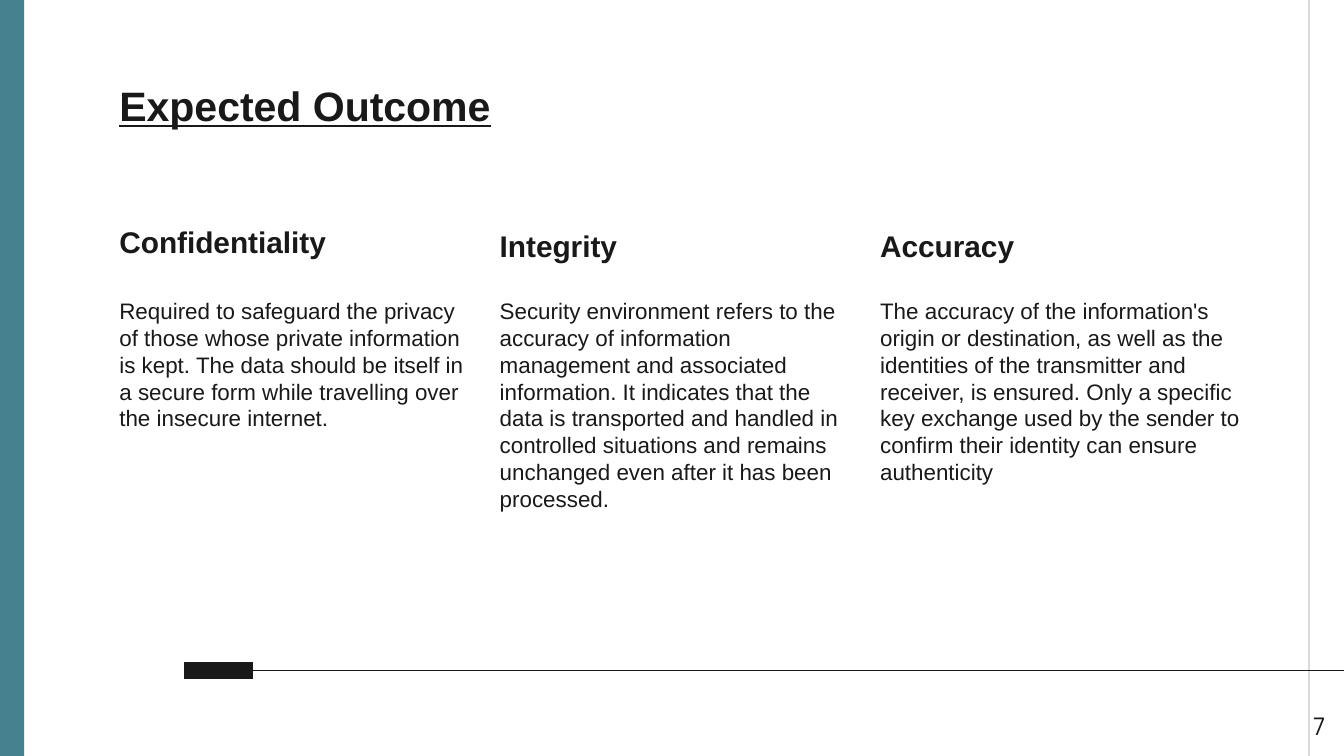
from dataclasses import dataclass

from lxml.etree import SubElement
from pptx import Presentation
from pptx.dml.color import RGBColor
from pptx.enum.shapes import MSO_CONNECTOR, MSO_SHAPE
from pptx.enum.text import MSO_ANCHOR, PP_ALIGN
from pptx.oxml.ns import qn
from pptx.slide import Slide
from pptx.util import Inches, Pt

INK = "191919"
TEAL = "45818E"
GREY = "D9D9D9"

PAGE_WIDTH = 10
PAGE_HEIGHT = PAGE_WIDTH * 9 / 16
COLUMN_LEFT = 0.79
COLUMN_STEP = 2.83
COLUMN_WIDTH = 2.77
HEADING_TOP = 1.59
BODY_TOP = 2.11
RULE_Y = 4.99


@dataclass
class Label:
    text: str
    left: float
    top: float
    width: float
    height: float
    size: float
    font: str = "Arial"
    bold: bool = False
    underline: bool = False
    anchor: MSO_ANCHOR = MSO_ANCHOR.TOP
    align: PP_ALIGN = PP_ALIGN.LEFT


@dataclass
class Rule:
    start: tuple[float, float]
    end: tuple[float, float]
    color: str
    weight: float


@dataclass
class Outcome:
    heading: str
    body: str
    heading_height: float = 0.47
    anchor: MSO_ANCHOR = MSO_ANCHOR.BOTTOM
    body_width: float = COLUMN_WIDTH


OUTCOMES = [
    Outcome(
        "Confidentiality",
        "Required to safeguard the privacy of those whose private information "
        "is kept. The data should be itself in a secure form while travelling "
        "over the insecure internet.",
        heading_height=0.42,
        anchor=MSO_ANCHOR.MIDDLE,
    ),
    Outcome(
        "Integrity",
        "Security environment refers to the accuracy of information management "
        "and associated information. It indicates that the data is transported "
        "and handled in controlled situations and remains unchanged even after "
        "it has been processed.",
    ),
    Outcome(
        "Accuracy",
        "The accuracy of the information's origin or destination, as well as the "
        "identities of the transmitter and receiver, is ensured. Only a specific "
        "key exchange used by the sender to confirm their identity can ensure "
        "authenticity",
        body_width=2.89,
    ),
]


def rgb(color: str) -> RGBColor:
    return RGBColor.from_string(color)


def draw_label(page: Slide, label: Label) -> None:
    box = page.shapes.add_textbox(
        Inches(label.left), Inches(label.top), Inches(label.width), Inches(label.height)
    )
    frame = box.text_frame
    frame.word_wrap = True
    frame.vertical_anchor = label.anchor
    frame.margin_left = frame.margin_right = Inches(0.1)
    frame.margin_top = frame.margin_bottom = Inches(0.1)
    para = frame.paragraphs[0]
    para.alignment = label.align
    span = para.add_run()
    span.text = label.text
    span.font.name = label.font
    span.font.size = Pt(label.size)
    span.font.bold = label.bold
    span.font.underline = label.underline
    span.font.color.rgb = rgb(INK)


def draw_rule(page: Slide, rule: Rule) -> None:
    line = page.shapes.add_connector(
        MSO_CONNECTOR.STRAIGHT, *map(Inches, rule.start + rule.end)
    )
    line.line.color.rgb = rgb(rule.color)
    line.line.width = Pt(rule.weight)
    SubElement(line._element.spPr, qn("a:effectLst"))


def draw_outcome(page: Slide, outcome: Outcome, left: float) -> None:
    draw_label(page, Label(
        outcome.heading, left, HEADING_TOP, COLUMN_WIDTH, outcome.heading_height,
        16, bold=True, anchor=outcome.anchor,
    ))
    draw_label(page, Label(outcome.body, left, BODY_TOP, outcome.body_width, 1.35, 12))


def main() -> None:
    deck = Presentation()
    deck.slide_width = Inches(PAGE_WIDTH)
    deck.slide_height = Inches(PAGE_HEIGHT)
    page = deck.slides.add_slide(deck.slide_layouts[6])
    page.background.fill.solid()
    page.background.fill.fore_color.rgb = rgb("FFFFFF")

    # Side band and margin line
    band = page.shapes.add_shape(
        MSO_SHAPE.RECTANGLE, Inches(0), Inches(0), Inches(0.18), deck.slide_height
    )
    band.shadow.inherit = False
    band.fill.solid()
    band.fill.fore_color.rgb = rgb(TEAL)
    band.line.fill.background()
    draw_rule(page, Rule((9.74, -0.04), (9.74, 5.66), GREY, 0.75))

    # Title
    draw_label(page, Label(
        "Expected Outcome", COLUMN_LEFT, 0.5, 8.43, 0.63, 22, bold=True, underline=True
    ))

    # Three outcome columns
    for index, outcome in enumerate(OUTCOMES):
        draw_outcome(page, outcome, COLUMN_LEFT + index * COLUMN_STEP)

    # Footer rule with its thick start
    draw_rule(page, Rule((1.37, RULE_Y), (1.88, RULE_Y), INK, 9))
    draw_rule(page, Rule((1.88, RULE_Y), (PAGE_WIDTH, RULE_Y), INK, 0.75))

    # Page number
    draw_label(page, Label(
        "7", 9.36, 5.19, 0.6, 0.43, 13, font="Manrope", align=PP_ALIGN.RIGHT
    ))

    deck.save("out.pptx")


if __name__ == "__main__":
    main()
